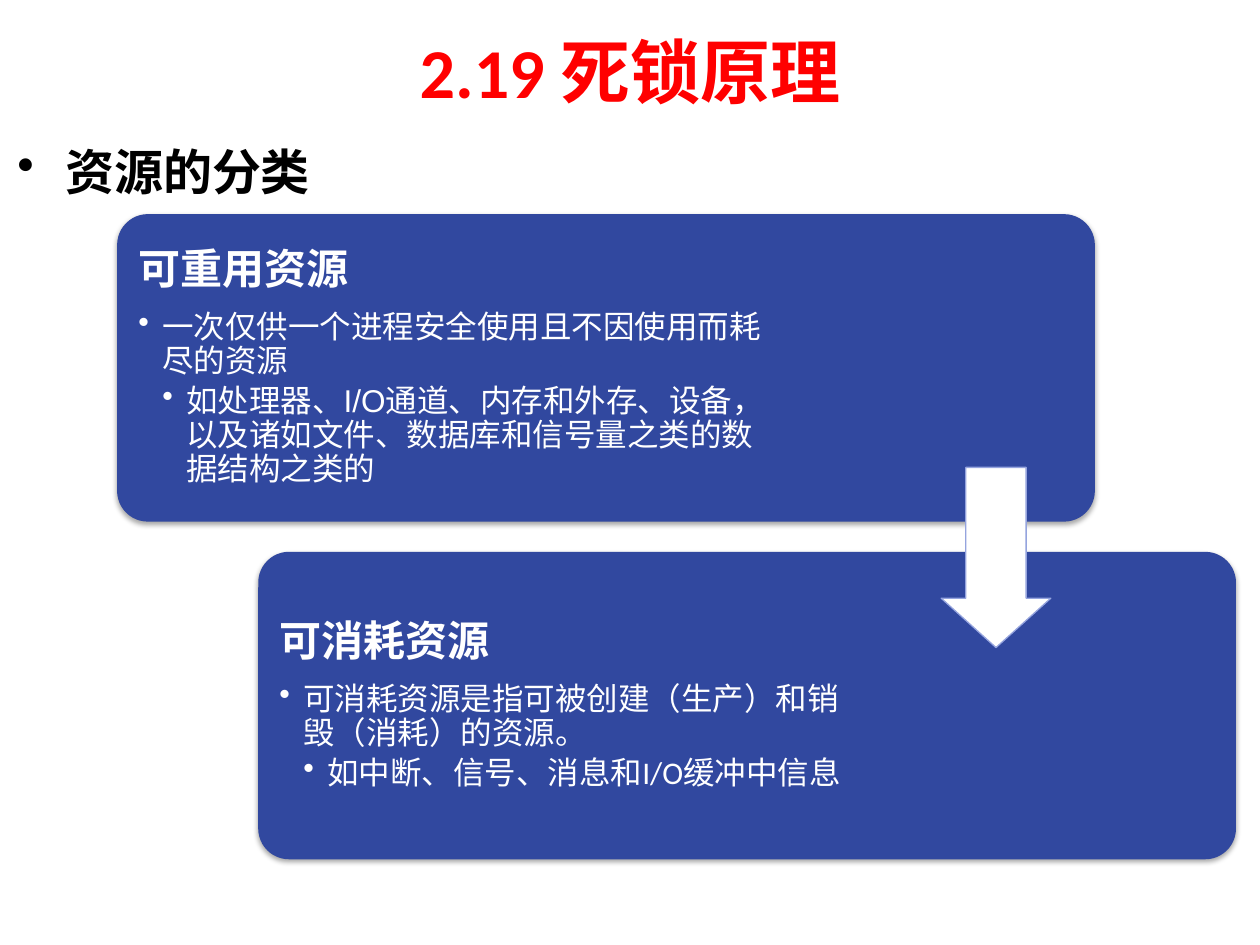
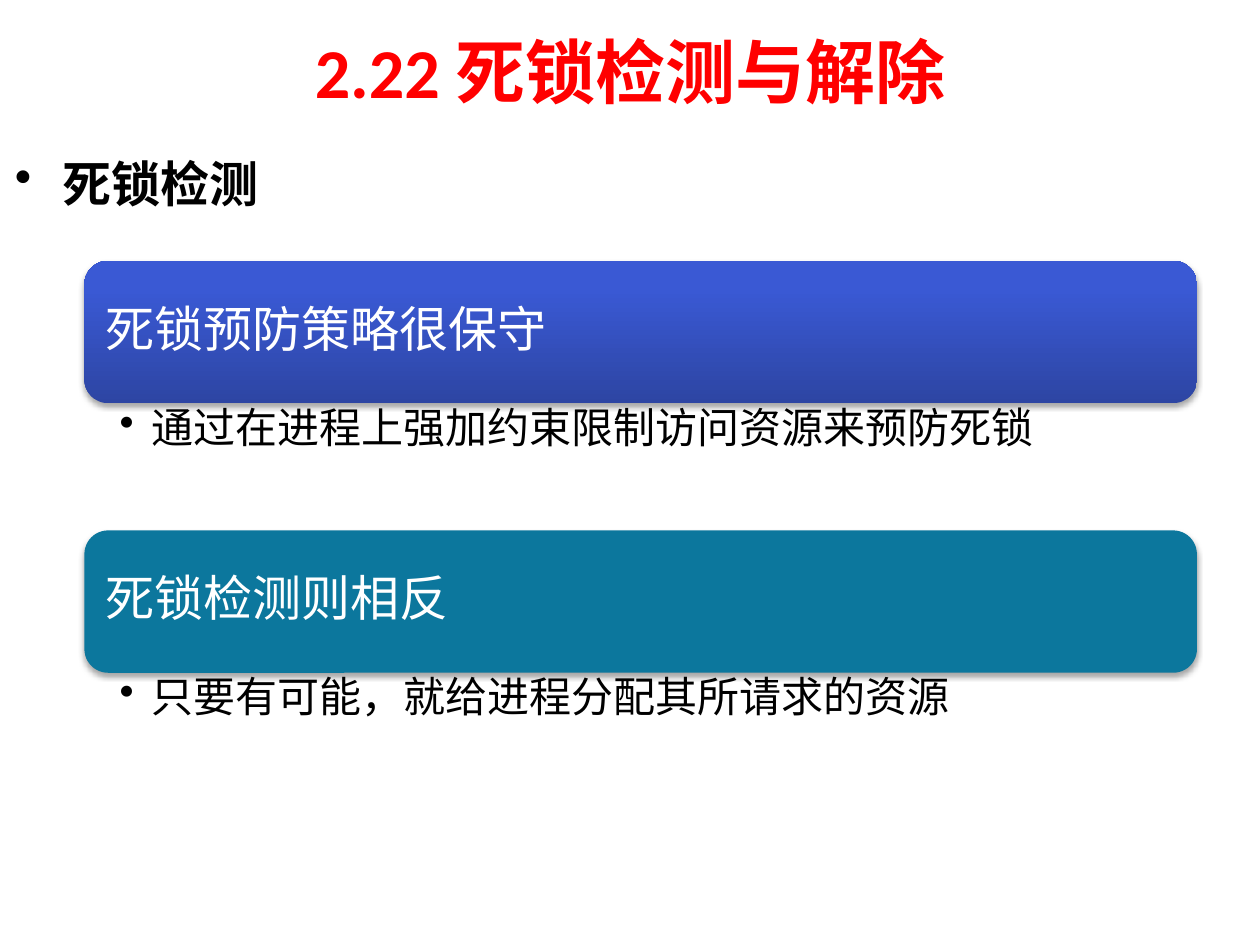
from dataclasses import dataclass

from lxml import etree
from pptx import Presentation
from pptx.dml.color import RGBColor
from pptx.enum.shapes import MSO_SHAPE
from pptx.enum.text import MSO_ANCHOR, PP_ALIGN
from pptx.oxml import parse_xml
from pptx.oxml.ns import nsdecls, qn
from pptx.util import Pt

PX = 9144  # 100 px to the inch
ROUNDED = MSO_SHAPE.ROUNDED_RECTANGLE
ARROW = MSO_SHAPE.DOWN_ARROW
TOP, MIDDLE = MSO_ANCHOR.TOP, MSO_ANCHOR.MIDDLE
CENTER = PP_ALIGN.CENTER


@dataclass(frozen=True)
class Theme:
    red: str = "FF0000"
    black: str = "000000"
    white: str = "FFFFFF"
    blue: str = "31489F"
    teal: str = "0C779D"
    arrow_line: str = "95A4DE"
    blue_gradient: tuple = ((0, "2D45A3"), (80, "3A59D4"), (100, "3758D7"))
    sans: str = "Arial"
    heading: str = "Calibri"
    title_size: int = 40
    topic_size: int = 28
    card_size: int = 24
    detail_size: int = 18


THEME = Theme()


def emu(box):
    return [value * PX for value in box]


def add_frame(page, box, anchor=TOP, insets=(10, 5, 10, 5)):
    """Add an empty wrapping text box; insets run left, top, right, bottom."""
    frame = page.shapes.add_textbox(*emu(box)).text_frame
    frame.word_wrap = True
    frame.vertical_anchor = anchor
    (frame.margin_left, frame.margin_top,
     frame.margin_right, frame.margin_bottom) = emu(insets)
    return frame


def write(frame, text, size, color, font=THEME.sans, bold=False, align=None,
          line=None, after=0, bullet=None):
    """Write one paragraph; bullet is (left margin, hanging indent) in px."""
    para = frame.paragraphs[0]
    if para.runs:
        para = frame.add_paragraph()
    if bullet:
        margin, hang = bullet
        properties = para._p.get_or_add_pPr()
        properties.set("marL", str(margin * PX))
        properties.set("indent", str(-hang * PX))
        etree.SubElement(properties, qn("a:buChar")).set("char", "•")
    para.alignment = align
    para.line_spacing = line
    para.space_after = Pt(after)
    span = para.add_run()
    span.text = text
    span.font.size = Pt(size)
    span.font.name = font
    span.font.bold = bold
    span.font.color.rgb = RGBColor.from_string(color)


def add_block(page, kind, box, fill, line=None, adjustments=()):
    """Add a preset shape; fill is a colour or a tuple of gradient stops."""
    block = page.shapes.add_shape(kind, *emu(box))
    for index, value in enumerate(adjustments):
        block.adjustments[index] = value
    if isinstance(fill, str):
        block.fill.solid()
        block.fill.fore_color.rgb = RGBColor.from_string(fill)
    else:
        fill_upwards(block, fill)
    if line:
        block.line.color.rgb = RGBColor.from_string(line)
        block.line.width = Pt(0.75)
    else:
        block.line.fill.background()
    block.shadow.inherit = False
    return block


def fill_upwards(block, stops):
    """Give a linear gradient that runs from bottom to top."""
    block.fill.background()
    stop_xml = "".join(
        f'<a:gs pos="{position * 1000}"><a:srgbClr val="{color}"/></a:gs>'
        for position, color in stops)
    gradient = parse_xml(
        f'<a:gradFill {nsdecls("a")}><a:gsLst>{stop_xml}</a:gsLst>'
        '<a:lin ang="16200000" scaled="0"/></a:gradFill>')
    properties = block._element.spPr
    properties.replace(properties.find(qn("a:noFill")), gradient)


def add_shadow(block):
    effects = block._element.spPr.find(qn("a:effectLst"))
    effects.append(parse_xml(
        f'<a:outerShdw {nsdecls("a")} blurRad="{Pt(3.1)}" dist="{Pt(1.8)}" '
        'dir="5400000" rotWithShape="0"><a:srgbClr val="000000">'
        '<a:alpha val="35000"/></a:srgbClr></a:outerShdw>'))


def add_page(deck, title, topic, topic_box):
    page = deck.slides.add_slide(deck.slide_layouts[6])
    write(add_frame(page, (50, 5, 900, 102), MIDDLE), title, THEME.title_size,
          THEME.red, THEME.heading, bold=True, align=CENTER)
    write(add_frame(page, topic_box), topic, THEME.topic_size, THEME.black,
          bold=True, bullet=(38, 38))
    return page


def add_resource_card(page, box, text_width, heading, detail, example,
                      heading_font, example_font):
    left, top, _, height = box
    add_shadow(add_block(page, ROUNDED, box, THEME.blue, adjustments=[0.1]))
    frame = add_frame(page, (left + 7, top + 7, text_width, height - 14),
                      MIDDLE, (10, 10, 10, 10))
    write(frame, heading, THEME.card_size, THEME.white, heading_font,
          bold=True, line=0.9, after=10)
    for text, font, margin in ((detail, THEME.sans, 19),
                               (example, example_font, 38)):
        write(frame, text, THEME.detail_size, THEME.white, font,
              line=0.9, after=3.2, bullet=(margin, 19))


def add_strategy(page, box, heading, detail, fill):
    """Place a rounded band with its heading, and the detail below it."""
    left, top, width, height = box
    add_shadow(add_block(page, ROUNDED, box, fill))
    label = add_frame(page, (left + 5, top + 5, width - 11, height - 11),
                      MIDDLE, (12, 12, 12, 12))
    write(label, heading, THEME.topic_size, THEME.white, line=0.9)
    below = add_frame(page, (left, top + height, width, 100),
                      insets=(28, 3, 19, 3))
    write(below, detail, THEME.card_size, THEME.black, line=0.9,
          bullet=(25, 25))


def build_resources(deck):
    page = add_page(deck, "2.19 死锁原理", "资源的分类", (4, 107, 900, 71))
    cards = (
        (524, "可重用资源", "一次仅供一个进程安全使用且不因使用而耗尽的资源",
         "如处理器、I/O通道、内存和外存、设备，以及诸如文件、数据库和信号量之类的数据结构之类的",
         THEME.sans, THEME.sans),
        (466, "可消耗资源", "可消耗资源是指可被创建（生产）和销毁（消耗）的资源。",
         "如中断、信号、消息和I/O缓冲中信息", THEME.heading, THEME.heading),
    )
    for index, card in enumerate(cards):
        box = (93 + 112 * index, 170 + 268 * index, 776, 244)
        add_resource_card(page, box, *card)
    add_block(page, ARROW, (747, 371, 87, 143), THEME.white,
              THEME.arrow_line, [0.55, 0.45])


def build_detection(deck):
    page = add_page(deck, "2.22 死锁检测与解除", "死锁检测", (2, 117, 900, 61))
    strategies = (
        ("死锁预防策略很保守", "通过在进程上强加约束限制访问资源来预防死锁",
         THEME.blue_gradient),
        ("死锁检测则相反", "只要有可能，就给进程分配其所请求的资源", THEME.teal),
    )
    for index, strategy in enumerate(strategies):
        add_strategy(page, (67, 207 + 214 * index, 883, 113), *strategy)


def main():
    deck = Presentation()
    deck.slide_width, deck.slide_height = emu((1000, 750))
    build_resources(deck)
    build_detection(deck)
    deck.save("out.pptx")


if __name__ == "__main__":
    main()
